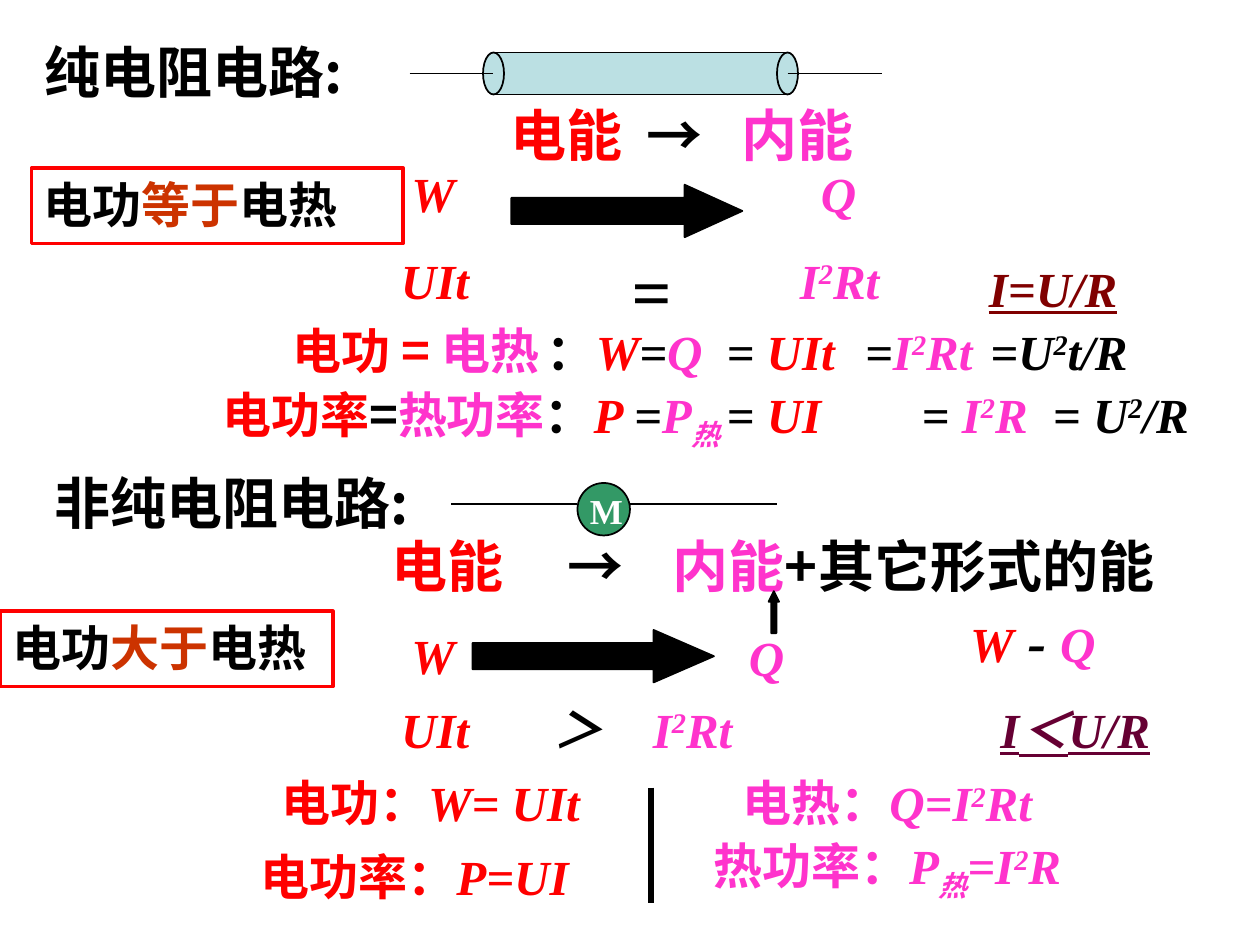
"""Builds a physics slide comparing purely and not purely resistive circuits."""
from lxml import etree
from pptx import Presentation
from pptx.dml.color import RGBColor
from pptx.enum.shapes import MSO_CONNECTOR, MSO_SHAPE
from pptx.enum.text import MSO_ANCHOR, MSO_AUTO_SIZE, PP_ALIGN
from pptx.oxml.ns import qn
from pptx.util import Emu, Pt

PX = 7620
LEFT, CENTER = PP_ALIGN.LEFT, PP_ALIGN.CENTER
TOP, FIT = MSO_ANCHOR.TOP, MSO_AUTO_SIZE.SHAPE_TO_FIT_TEXT
RECT, OVAL = MSO_SHAPE.RECTANGLE, MSO_SHAPE.OVAL
RIGHT_ARROW, UP_ARROW = MSO_SHAPE.RIGHT_ARROW, MSO_SHAPE.UP_ARROW
STRAIGHT = MSO_CONNECTOR.STRAIGHT


def font_style(name, size, **extra):
    return {"name": name, "size": Pt(size), "bold": True, **extra}


class Theme:
    east_asian = "Noto Sans CJK JP"
    serif = "Times New Roman"
    colors = {
        "ink": "000000", "work": "FF0000", "heat": "FF33CC", "accent": "CC3300",
        "ohm": "800000", "not_ohm": "660033", "tube": "BBE0E3",
        "motor": "339966", "white": "FFFFFF",
    }
    styles = {
        "heading": font_style(east_asian, 32),
        "label": font_style(east_asian, 28),
        "boxed": font_style("Arial", 28),
        "upright": font_style(serif, 28),
        "formula": font_style(serif, 28, italic=True),
        "subscript": font_style(serif, 28, italic=True),
        "condition": font_style(serif, 28, italic=True, underline=True),
        "operator": font_style(serif, 32, italic=True),
        "equals": font_style(serif, 40, italic=True),
        "motor": font_style(serif, 20),
    }
    superscript, subscript = 30000, -25000
    line_gap = Pt(16)

    def color(self, key):
        return RGBColor.from_string(self.colors[key])


class SlideBuilder:
    def __init__(self, theme, slide):
        self.theme, self.slide = theme, slide

    def box(self, *lengths):
        return [Emu(length * PX) for length in lengths]

    def write_run(self, paragraph, style, color, text):
        for index, part in enumerate(text.split("^")):
            run = paragraph.add_run()
            run.text = part
            for name, value in self.theme.styles[style].items():
                setattr(run.font, name, value)
            run.font.color.rgb = self.theme.color(color)
            props = run.font._element
            face = etree.Element(qn("a:ea"), typeface=self.theme.east_asian)
            props.find(qn("a:latin")).addnext(face)
            if index % 2:
                props.set("baseline", str(self.theme.superscript))
            elif style == "subscript":
                props.set("baseline", str(self.theme.subscript))

    def fill_text(self, shape, lines, align=LEFT, wrap=True, tabs=(), indent=0):
        frame = shape.text_frame
        settings = {"word_wrap": wrap, "auto_size": FIT, "vertical_anchor": TOP}
        for name, value in settings.items():
            setattr(frame, name, value)
        for index, runs in enumerate(lines):
            paragraph = frame.add_paragraph() if index else frame.paragraphs[0]
            paragraph.alignment = align
            if index:
                paragraph.space_before = self.theme.line_gap
            props = paragraph._p.get_or_add_pPr()
            if indent and not index:
                props.set("marL", str(indent * PX))
                props.set("indent", "0")
            if tabs:
                stops = etree.SubElement(props, qn("a:tabLst"))
                for stop in tabs:
                    etree.SubElement(stops, qn("a:tab"), pos=str(stop * PX), algn="l")
            for run in runs:
                self.write_run(paragraph, *run)

    def title(self, bounds, *runs):
        heading = self.slide.shapes.title
        for name, value in zip(("left", "top", "width", "height"), self.box(*bounds)):
            setattr(heading, name, value)
        self.fill_text(heading, [runs])

    def text(self, bounds, *lines, **layout):
        self.fill_text(self.slide.shapes.add_textbox(*self.box(*bounds)), lines, **layout)

    def shape(self, kind, bounds, fill=None, line="ink", weight=1, adjustments=()):
        shape = self.slide.shapes.add_shape(kind, *self.box(*bounds))
        shape.shadow.inherit = False
        if fill:
            shape.fill.solid()
            shape.fill.fore_color.rgb = self.theme.color(fill)
        else:
            shape.fill.background()
        shape.line.color.rgb = self.theme.color(line)
        shape.line.width = Pt(weight)
        for index, value in enumerate(adjustments):
            shape.adjustments[index] = value
        return shape

    def line(self, start_x, start_y, end_x, end_y, weight=1):
        line = self.slide.shapes.add_connector(
            STRAIGHT, *self.box(start_x, start_y, end_x, end_y))
        line.line.color.rgb = self.theme.color("ink")
        line.line.width = Pt(weight)
        etree.SubElement(line._element.spPr, qn("a:effectLst"))
        return line

    def conclusion(self, bounds, relation):
        frame = self.shape(RECT, bounds, line="work", weight=2)
        self.fill_text(frame, [[("boxed", "ink", "电功"), ("boxed", "accent", relation),
                                ("boxed", "ink", "电热")]])


def formula(color, text):
    return ("formula", color, text)


def draw_resistive(page):
    page.title((30, 30, 302, 76), ("heading", "ink", "纯电阻电路:"))
    page.text((350, 90, 600, 76), [
        ("heading", "work", "\t电能"), ("heading", "ink", "\t→"),
        ("heading", "heat", "\t内能")], tabs=(124, 254, 344))
    tube = page.shape(RECT, (470, 50, 280, 40), "tube")
    for end in (460, 740):
        page.shape(OVAL, (end, 50, 20, 40), "tube")
    page.line(390, 70, 470, 70).end_connect(tube, 1)
    page.line(750, 70, 840, 70).begin_connect(tube, 3)
    page.text((750, 150, 120, 152), [formula("heat", "Q")],
              [formula("heat", "I^2^Rt")], indent=20)
    page.text((370, 150, 112, 152), [formula("work", "W")],
              [formula("work", "UIt")], indent=10)
    page.shape(RIGHT_ARROW, (487, 176, 220, 50), "ink", adjustments=(0.5, 1.1))
    page.text((590, 230, 62, 92), [("equals", "ink", "=")], wrap=False)
    page.text((930, 240, 146, 68), [("condition", "ohm", "I=U/R")], wrap=False)
    page.text((251, 299, 290, 68), [("label", "work", "电功 = "),
                                    ("label", "heat", "电热")], align=CENTER)
    page.text((500, 300, 190, 68), [
        ("upright", "ink", "："), formula("work", "W"), formula("ink", "="),
        formula("heat", "Q")], align=CENTER)
    page.text((680, 300, 127, 68), [formula("ink", "= "), formula("work", "UIt")],
              align=CENTER, wrap=False)
    page.text((800, 300, 150, 68), [formula("ink", "="), formula("heat", "I^2^Rt")],
              align=CENTER)
    page.text((930, 300, 157, 68), [formula("ink", "=U^2^t/R")],
              align=CENTER, wrap=False)
    page.text((200, 360, 1000, 68), [
        ("label", "work", "电功率"), ("label", "ink", "="),
        ("label", "heat", "热功率"), ("label", "ink", "："),
        formula("work", "P "), formula("ink", "="), formula("heat", "P"),
        ("subscript", "heat", "热 "), formula("ink", "= "), formula("work", "UI"),
        formula("ink", "\t= "), formula("heat", "I^2^R"),
        formula("ink", "\t= U^2^/R")], tabs=(666, 791))
    page.conclusion((30, 160, 354, 72), "等于")


def draw_non_resistive(page):
    page.text((40, 440, 360, 76), [("heading", "ink", "非纯电阻电路:")])
    page.text((300, 500, 900, 76), [
        ("heading", "work", "\t电能"), ("heading", "ink", "\t→"),
        ("heading", "heat", "\t内能"), ("heading", "ink", "+其它形式的能")],
        tabs=(61, 229, 329))
    page.shape(OVAL, (550, 460, 50, 50), "motor")
    page.text((550, 460, 60, 52), [("motor", "white", "M")])
    page.line(430, 480, 550, 480)
    page.line(600, 480, 740, 480)
    page.shape(RIGHT_ARROW, (450, 600, 230, 50), "ink", adjustments=(0.5, 1.15))
    page.shape(UP_ARROW, (732, 563, 10, 40), "ink", adjustments=(0.5, 1))
    page.text((380, 590, 66, 68), [formula("work", "W")], wrap=False)
    page.text((912, 572, 160, 76), [
        formula("work", "W"), ("operator", "work", " "),
        ("operator", "ink", "- "), formula("heat", "Q")])
    page.text((695, 592, 70, 68), [formula("heat", "Q")], align=CENTER)
    page.text((370, 660, 89, 68), [formula("work", "UIt")], align=CENTER, wrap=False)
    page.text((440, 660, 340, 68), [formula("ink", "\t＞"),
                                    formula("heat", "\tI^2^Rt")], tabs=(74, 170))
    page.text((910, 660, 228, 68), [("condition", "not_ohm", "I＜U/R")], align=CENTER)
    results = [
        ((240, 730, 340, 68), "work", "电功：", [formula("work", "W= UIt")]),
        ((620, 730, 450, 68), "heat", "电热：", [formula("heat", "Q=I^2^Rt")]),
        ((210, 800, 370, 68), "work", "电功率：", [formula("work", "P=UI")]),
        ((630, 790, 430, 68), "heat", "热功率：", [
            formula("heat", "P"), ("subscript", "heat", "热"),
            formula("heat", "=I^2^R")]),
    ]
    for bounds, color, quantity, law in results:
        page.text(bounds, [("upright", color, quantity), *law], align=CENTER)
    page.line(620, 750, 620, 860, weight=3)
    page.conclusion((0, 582, 317, 72), "大于")


def main():
    deck = Presentation()
    deck.slide_width, deck.slide_height = Emu(1200 * PX), Emu(900 * PX)
    page = SlideBuilder(Theme(), deck.slides.add_slide(deck.slide_layouts[5]))
    draw_resistive(page)
    draw_non_resistive(page)
    deck.save("out.pptx")


if __name__ == "__main__":
    main()
